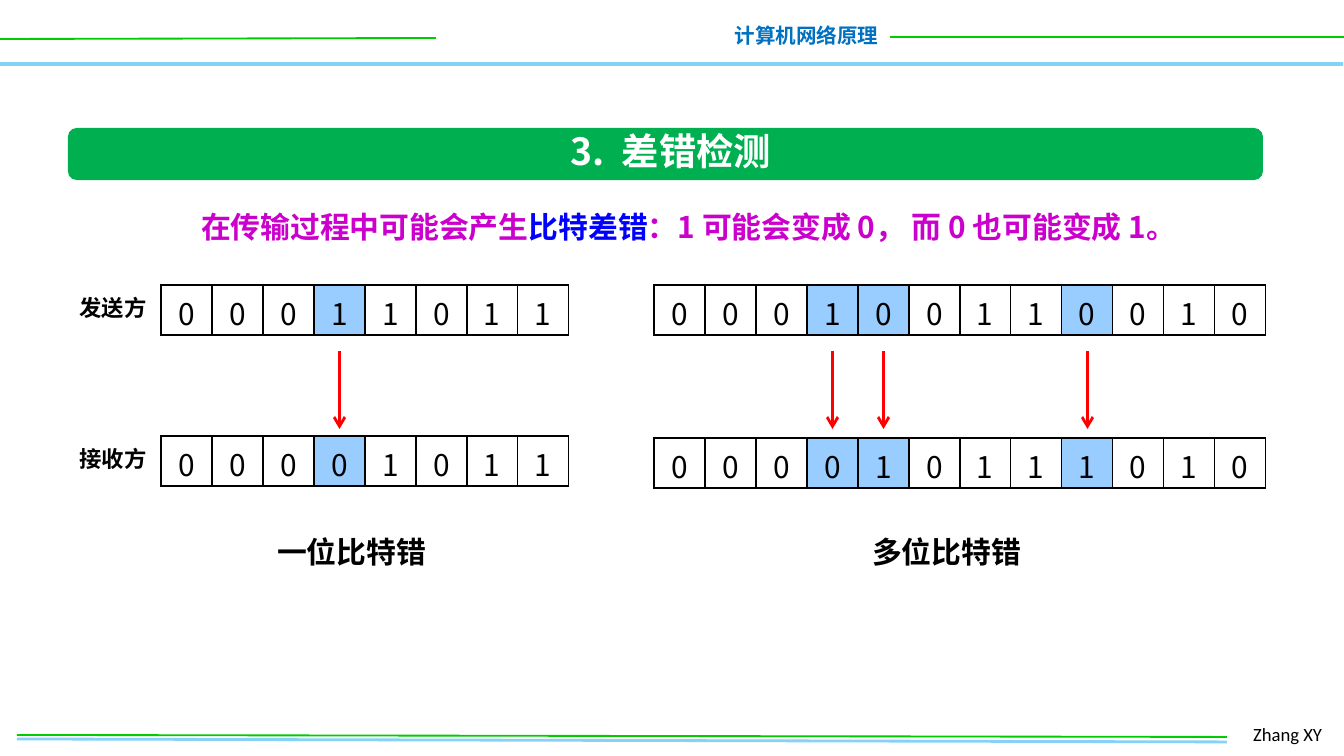
from lxml import etree
from pptx import Presentation
from pptx.dml.color import RGBColor
from pptx.enum.shapes import MSO_CONNECTOR, MSO_SHAPE
from pptx.enum.text import MSO_ANCHOR, PP_ALIGN
from pptx.oxml.ns import qn
from pptx.util import Emu, Pt

LEFT, CENTER, RIGHT = PP_ALIGN.LEFT, PP_ALIGN.CENTER, PP_ALIGN.RIGHT
MIDDLE = MSO_ANCHOR.MIDDLE
STRAIGHT = MSO_CONNECTOR.STRAIGHT
ROUND_RECT = MSO_SHAPE.ROUNDED_RECTANGLE

EMU_PER_PX = 914400 / 134.4
CJK = "Noto Sans CJK SC"
BLACK, WHITE, RED = "000000", "FFFFFF", "FF0000"
GREEN, LIME, SKY = "00B050", "00CC00", "85D1F7"
PURPLE, BLUE, TITLE_BLUE, FLIPPED = "CC00CC", "0000FF", "0070C0", "99CCFF"
CELL_W, CELL_H = 51, 50
ARROW_TOP, ARROW_BOTTOM = 351, 429


def px(n):
    return Emu(round(n * EMU_PER_PX))


def rgb(color):
    return RGBColor.from_string(color)


def add_run(p, text, size=16, color=BLACK, bold=False, font=CJK):
    r = p.add_run()
    r.text = text
    r.font.size = Pt(size)
    r.font.bold = bold
    r.font.color.rgb = rgb(color)
    r.font.name = font
    etree.SubElement(r._r.get_or_add_rPr(), qn("a:ea"), typeface=font)


def add_text(s, box, text, align=CENTER, wrap=False, **fmt):
    """Add a text box; text is a string or a list of (string, colour) runs."""
    tf = s.shapes.add_textbox(*map(px, box)).text_frame
    tf.word_wrap = wrap
    p = tf.paragraphs[0]
    p.alignment = align
    if isinstance(text, str):
        add_run(p, text, **fmt)
    else:
        for part, color in text:
            add_run(p, part, color=color, **fmt)


def add_line(s, x1, y1, x2, y2, color, width, arrow=False):
    line = s.shapes.add_connector(STRAIGHT, px(x1), px(y1), px(x2), px(y2))
    line.line.color.rgb = rgb(color)
    line.line.width = Pt(width)
    if arrow:
        etree.SubElement(line.line._get_or_add_ln(), qn("a:tailEnd"), type="arrow")
    etree.SubElement(line._element.spPr, qn("a:effectLst"))


def add_bar(s, box, color):
    sp = s.shapes.add_shape(ROUND_RECT, *map(px, box))
    sp.shadow.inherit = False
    sp.fill.solid()
    sp.fill.fore_color.rgb = rgb(color)
    sp.line.fill.background()


def set_borders(cell, color, width):
    tcPr = cell._tc.get_or_add_tcPr()
    for side in ("lnL", "lnR", "lnT", "lnB"):
        ln = etree.SubElement(tcPr, qn(f"a:{side}"), w=str(Pt(width)))
        fill = etree.SubElement(ln, qn("a:solidFill"))
        etree.SubElement(fill, qn("a:srgbClr"), val=color)


def add_bits(s, x, y, bits, flipped):
    """Add a one-row table of bits, with the flipped columns shaded."""
    table = s.shapes.add_table(1, len(bits), px(x), px(y),
                               px(CELL_W * len(bits)), px(CELL_H)).table
    table.first_row = table.horz_banding = False
    for i, bit in enumerate(bits):
        table.columns[i].width = px(CELL_W)
        cell = table.cell(0, i)
        cell.vertical_anchor = MIDDLE
        cell.margin_top, cell.margin_bottom = px(6), 0
        set_borders(cell, BLACK, 1)
        if i in flipped:
            cell.fill.solid()
            cell.fill.fore_color.rgb = rgb(FLIPPED)
        else:
            cell.fill.background()
        p = cell.text_frame.paragraphs[0]
        p.alignment = CENTER
        add_run(p, bit)


def add_transmission(s, x, sent_y, received_y, sent, received):
    flipped = [i for i, (a, b) in enumerate(zip(sent, received)) if a != b]
    add_bits(s, x, sent_y, sent, flipped)
    add_bits(s, x, received_y, received, flipped)
    for i in flipped:
        center = x + (i + 0.5) * CELL_W
        add_line(s, center, ARROW_TOP, center, ARROW_BOTTOM, RED, 1.5, arrow=True)


def add_frame(s):
    """Add the running header and footer."""
    add_line(s, -1, 64, 1343, 64, SKY, 2)
    add_line(s, 0, 39, 436, 38, LIME, 1)
    add_line(s, 890, 37, 1345, 37, LIME, 1)
    add_text(s, (720, 16, 172, 39), "计算机网络原理", align=RIGHT,
             size=11, color=TITLE_BLUE, bold=True)
    add_line(s, 17, 739, 1227, 742, SKY, 1.5)
    add_line(s, 17, 735, 1227, 737, LIME, 1)
    add_text(s, (1240, 716, 100, 36), "Zhang XY", align=LEFT, size=10, font="Calibri")


def main():
    prs = Presentation()
    prs.slide_width, prs.slide_height = px(1344), px(756)
    s = prs.slides.add_slide(prs.slide_layouts[6])
    add_frame(s)

    add_bar(s, (68, 128, 1195, 52), GREEN)
    add_text(s, (521, 122, 300, 59), "3.  差错检测", size=20, color=WHITE, bold=True)
    add_text(s, (134, 202, 1109, 50),
             [("在传输过程中可能会产生", PURPLE), ("比特差错", BLUE),
              ("：1 可能会变成 0， 而 0 也可能变成 1。", PURPLE)],
             wrap=True, bold=True)

    add_transmission(s, 161, 285, 436, "00011011", "00001011")
    add_transmission(s, 654, 285, 438, "000100110010", "000010111010")

    for y, label in ((288, "发送方"), (439, "接收方")):
        add_text(s, (65, y, 95, 40), label, align=RIGHT, size=12, bold=True)
    for x, caption in ((263, "一位比特错"), (858, "多位比特错")):
        add_text(s, (x, 527, 177, 50), caption, bold=True)

    prs.save("out.pptx")


if __name__ == "__main__":
    main()
